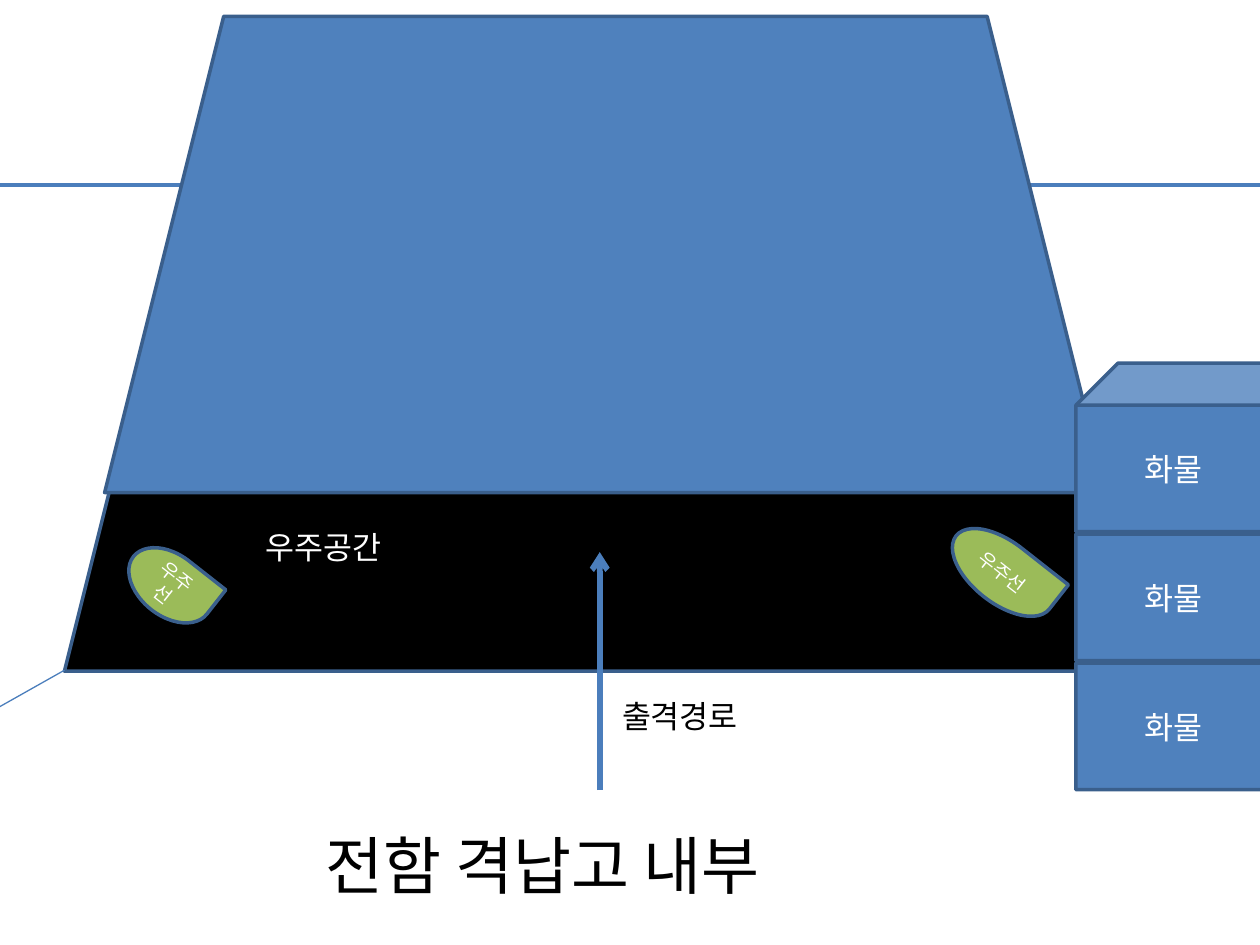
from lxml import etree
from pptx import Presentation
from pptx.dml.color import RGBColor
from pptx.enum.shapes import MSO_CONNECTOR, MSO_SHAPE
from pptx.enum.text import MSO_ANCHOR, MSO_AUTO_SIZE, PP_ALIGN
from pptx.oxml.ns import qn
from pptx.util import Cm, Pt

STRAIGHT = MSO_CONNECTOR.STRAIGHT
TRAPEZOID, CUBE, TEARDROP = MSO_SHAPE.TRAPEZOID, MSO_SHAPE.CUBE, MSO_SHAPE.TEAR
TOP, MIDDLE = MSO_ANCHOR.TOP, MSO_ANCHOR.MIDDLE
LEFT, CENTER = PP_ALIGN.LEFT, PP_ALIGN.CENTER
NO_AUTOFIT = MSO_AUTO_SIZE.NONE

FONT = "Noto Sans CJK KR"
COLORS = {
    "space": "000000",
    "panel": "4F81BD",
    "ship": "9BBB59",
    "outline": "3A5F8C",
    "line": "4B7EBC",
    "light text": "FFFFFF",
    "dark text": "000000",
}
TITLE_ONLY_LAYOUT = 5


def color(name):
    return RGBColor.from_string(COLORS[name])


def write_text(shape, text, size, color_name, alignment, anchor):
    frame = shape.text_frame
    frame.word_wrap = True
    frame.auto_size = NO_AUTOFIT
    frame.vertical_anchor = anchor
    frame.text = text
    paragraph = frame.paragraphs[0]
    paragraph.alignment = alignment
    font = paragraph.font
    font.name = FONT
    font.size = Pt(size)
    font.color.rgb = color(color_name)
    # Hangul takes its typeface from the East Asian font slot.
    properties = paragraph._p.pPr.find(qn("a:defRPr"))
    etree.SubElement(properties, qn("a:ea"), typeface=FONT)


def place(shape, left, top, width, height):
    shape.left, shape.top = Cm(left), Cm(top)
    shape.width, shape.height = Cm(width), Cm(height)


def add_title(slide, text, box):
    title = slide.shapes.title
    place(title, *box)
    write_text(title, text, 36, "dark text", LEFT, TOP)


def add_label(slide, text, box, color_name):
    label = slide.shapes.add_textbox(*map(Cm, box))
    write_text(label, text, 18, color_name, LEFT, TOP)


def add_solid(slide, kind, box, fill_name, text="", size=18, rotation=0):
    """Add an outlined preset shape, with centred text if there is any."""
    shape = slide.shapes.add_shape(kind, *map(Cm, box))
    shape.shadow.inherit = False
    shape.rotation = rotation
    shape.fill.solid()
    shape.fill.fore_color.rgb = color(fill_name)
    shape.line.color.rgb = color("outline")
    shape.line.width = Pt(2)
    if text:
        write_text(shape, text, size, "light text", CENTER, MIDDLE)


def add_line(slide, start, end, width, arrow=False):
    connector = slide.shapes.add_connector(STRAIGHT, *map(Cm, start + end))
    connector.line.color.rgb = color("line")
    connector.line.width = Pt(width)
    if arrow:
        etree.SubElement(connector.line._get_or_add_ln(), qn("a:tailEnd"), type="arrow")
    etree.SubElement(connector._element.spPr, qn("a:effectLst"))


def add_hangar(slide):
    add_line(slide, (-0.3, 3.73), (25.4, 3.73), 2.5)
    add_solid(slide, TRAPEZOID, (1.3, 3.93, 21.79, 9.6), "space")
    add_solid(slide, TRAPEZOID, (2.11, 0.33, 20.19, 9.6), "panel")
    add_label(slide, "우주공간", (5.11, 10.52, 13, 1.02), "light text")
    add_line(slide, (1.3, 13.51), (-0.51, 14.53), 0.75)
    add_line(slide, (23.09, 13.51), (26.11, 14.94), 0.75)


def add_cargo(slide):
    """Stack the boxes from the lowest one up."""
    for level in range(3):
        add_solid(slide, CUBE, (21.69, 12.52 - 2.6 * level, 4.8, 3.4), "panel", "화물")


def add_launch_route(slide):
    add_label(slide, "출격경로", (12.29, 13.92, 5.59, 1.02), "dark text")
    add_line(slide, (12.09, 15.93), (12.09, 11.13), 3.25, arrow=True)


def add_spaceships(slide):
    for box in ((19.02, 10.92, 2.39, 1.24), (2.49, 11.18, 1.88, 1.24)):
        add_solid(slide, TEARDROP, box, "ship", "우주선", size=11, rotation=38.1)


def main():
    presentation = Presentation()
    presentation.slide_width, presentation.slide_height = Cm(25.4), Cm(19.05)
    slide = presentation.slides.add_slide(presentation.slide_layouts[TITLE_ONLY_LAYOUT])
    add_title(slide, "전함 격납고 내부", (6.3, 16.54, 11.61, 1.8))
    add_hangar(slide)
    add_cargo(slide)
    add_launch_route(slide)
    add_spaceships(slide)
    presentation.save("out.pptx")


if __name__ == "__main__":
    main()
